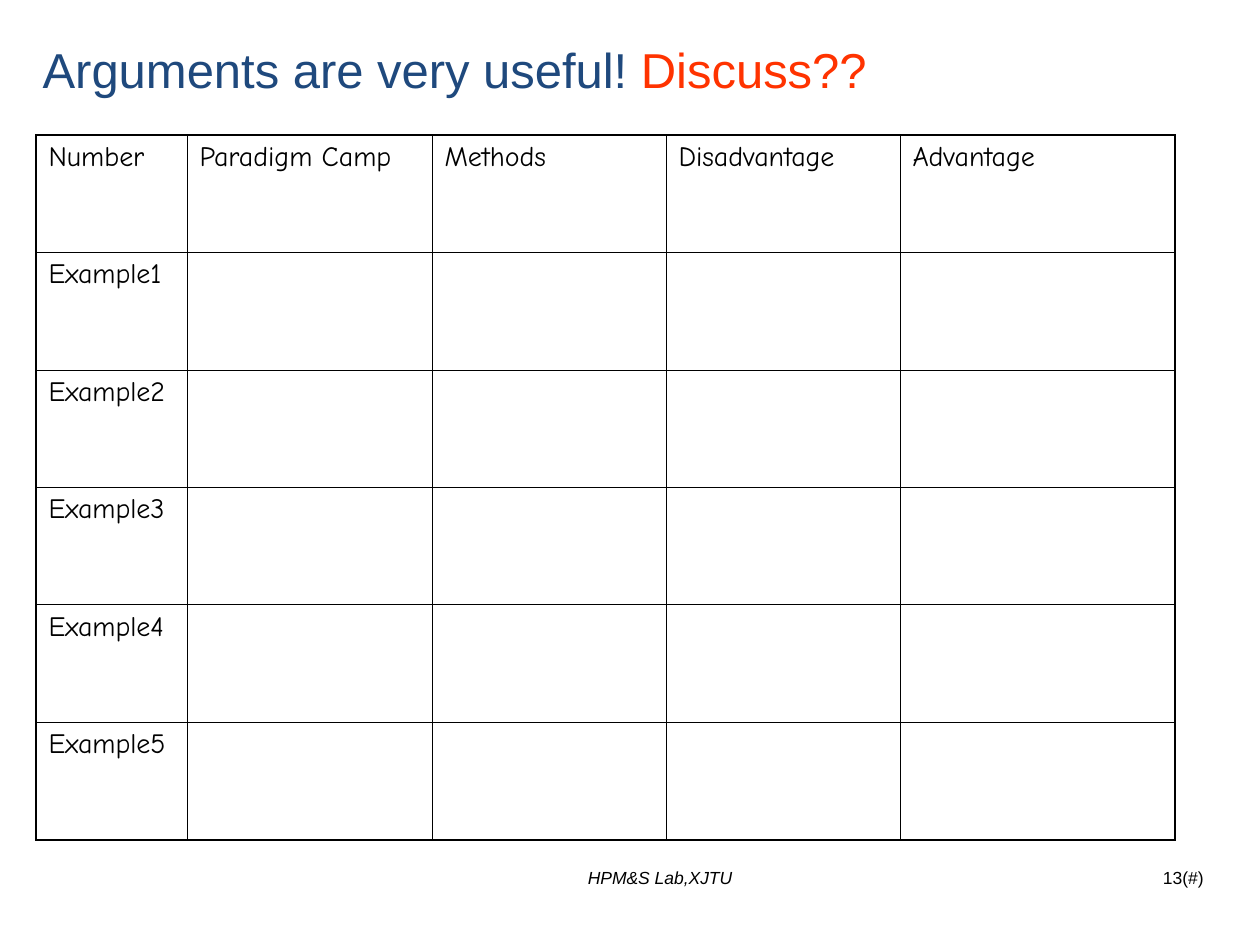
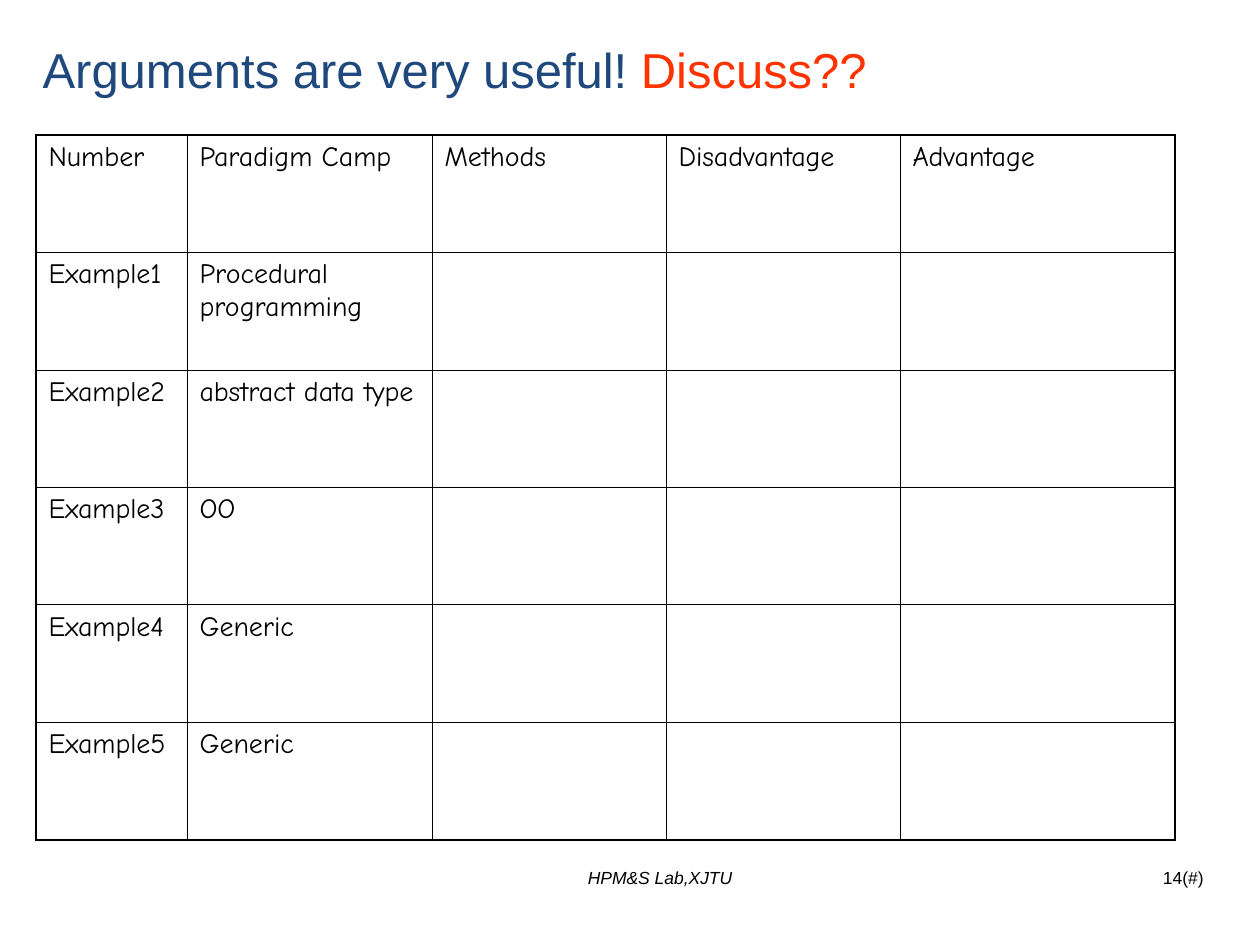
from collections import namedtuple
from dataclasses import dataclass

import pptx
import pptx.dml.color
import pptx.enum.text
import pptx.oxml
import pptx.oxml.ns
import pptx.util

EMU_PER_PX = 914400 / 126
Box = namedtuple("Box", "left top width height")
Align = pptx.enum.text.PP_ALIGN


@dataclass(frozen=True)
class Theme:
    heading: str = "1F497D"
    accent: str = "FF3300"
    ink: str = "000000"
    sans: str = "Arial"
    hand: str = "Comic Neue"
    title_size: int = 28
    table_size: int = 16
    footer_size: int = 10
    outer_line: float = 1.08
    inner_line: float = 0.45


THEME = Theme()
SLIDE = Box(0, 0, 1260, 945)
TITLE = Box(30, 32, 1196, 74)
ARGUMENTS = Box(36, 135, 1139, 705)
LAB = Box(422, 861, 476, 66)
PAGE = Box(974, 861, 242, 66)

COLUMN_WIDTHS = (151, 245, 234, 234, 275)
HEADINGS = ("Number", "Paradigm Camp", "Methods", "Disadvantage", "Advantage")
EXAMPLE_COUNT = 5
PARADIGMS = ("Procedural programming", "abstract data type", "OO", "Generic", "Generic")


def px(length):
    return pptx.util.Emu(round(length * EMU_PER_PX))


def rgb(color):
    return pptx.dml.color.RGBColor.from_string(color)


def style(paragraph, face, size, color=None, align=Align.LEFT, italic=None):
    paragraph.alignment = align
    font = paragraph.font
    font.name, font.size, font.italic = face, pptx.util.Pt(size), italic
    if color:
        font.color.rgb = rgb(color)


def add_title(slide, box):
    title = slide.shapes.title
    title.left, title.top, title.width, title.height = map(px, box)
    frame = title.text_frame
    frame.word_wrap = True
    frame.auto_size = pptx.enum.text.MSO_AUTO_SIZE.NONE
    frame.vertical_anchor = pptx.enum.text.MSO_ANCHOR.MIDDLE
    heading = frame.paragraphs[0]
    style(heading, THEME.sans, THEME.title_size)
    for words, color in (
        ("Arguments are very useful! ", THEME.heading),
        ("Discuss??", THEME.accent),
    ):
        run = heading.add_run()
        run.text = words
        run.font.color.rgb = rgb(color)


def add_footer(slide, box, words, align, italic=None):
    frame = slide.shapes.add_textbox(*map(px, box)).text_frame
    frame.word_wrap = True
    frame.text = words
    style(frame.paragraphs[0], THEME.sans, THEME.footer_size, THEME.ink, align, italic)


def draw_borders(cell, outer_sides):
    properties = cell._tc.get_or_add_tcPr()
    for side in "LRTB":
        points = THEME.outer_line if side in outer_sides else THEME.inner_line
        properties.append(pptx.oxml.parse_xml(
            f'<a:ln{side} {pptx.oxml.ns.nsdecls("a")} w="{pptx.util.Pt(points)}">'
            f'<a:solidFill><a:srgbClr val="{THEME.ink}"/></a:solidFill></a:ln{side}>'
        ))


def add_arguments_table(slide, box, rows):
    last_row, last_column = len(rows) - 1, len(HEADINGS) - 1
    table = slide.shapes.add_table(len(rows), len(HEADINGS), *map(px, box)).table
    table.first_row = table.horz_banding = False
    for column, width in zip(table.columns, COLUMN_WIDTHS):
        column.width = px(width)
    for r, row in enumerate(rows):
        table.rows[r].height = px(box.height / len(rows))
        for c, words in enumerate(row):
            cell = table.cell(r, c)
            edges = {"L": c == 0, "R": c == last_column, "T": r == 0, "B": r == last_row}
            draw_borders(cell, [side for side, outer in edges.items() if outer])
            cell.fill.background()
            cell.text = words
            style(cell.text_frame.paragraphs[0], THEME.hand, THEME.table_size, THEME.ink)


def add_discussion_slide(deck, number, paradigms):
    slide = deck.slides.add_slide(deck.slide_layouts.get_by_name("Title Only"))
    add_footer(slide, LAB, "HPM&S Lab,XJTU", Align.CENTER, italic=True)
    add_footer(slide, PAGE, f"{number}(#)", Align.RIGHT)
    add_title(slide, TITLE)
    examples = [
        (f"Example{i}", paradigm, "", "", "")
        for i, paradigm in enumerate(paradigms, start=1)
    ]
    add_arguments_table(slide, ARGUMENTS, [HEADINGS, *examples])


def main():
    deck = pptx.Presentation()
    deck.slide_width, deck.slide_height = px(SLIDE.width), px(SLIDE.height)
    add_discussion_slide(deck, 13, [""] * EXAMPLE_COUNT)
    add_discussion_slide(deck, 14, PARADIGMS)
    deck.save("out.pptx")


if __name__ == "__main__":
    main()
